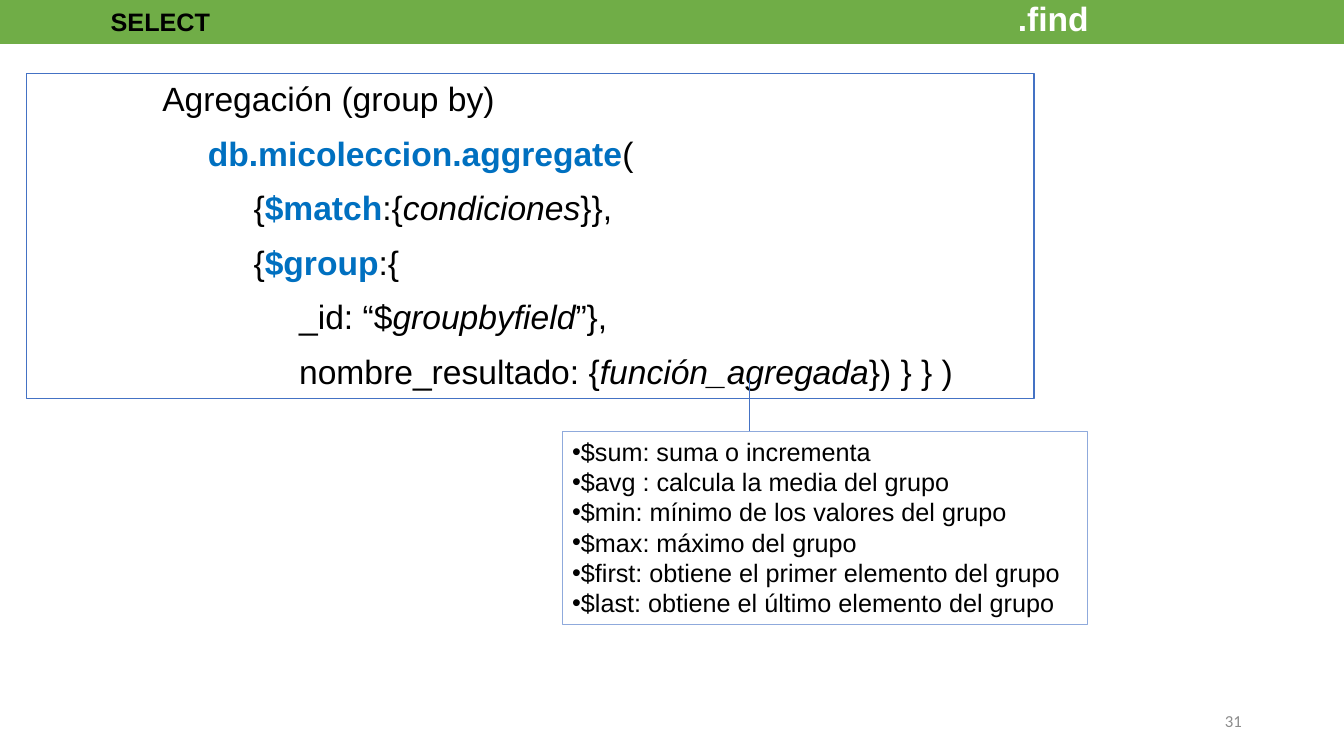
import pptx
import pptx.util
import pptx.dml.color
import pptx.enum.shapes
import pptx.enum.text
import pptx.oxml
import pptx.oxml.ns
from dataclasses import dataclass
from pptx.util import Cm, Pt


@dataclass(frozen=True)
class Theme:
    """Colours, fonts and type sizes of the slide."""
    bar: str = "70AD47"
    frame: str = "4472C4"
    note_frame: str = "8FAADC"
    keyword: str = "0070C0"
    text: str = "000000"
    light: str = "FFFFFF"
    muted: str = "8C8C8C"
    font: str = "Arial"
    number_font: str = "Calibri"
    code_size: int = 24
    body_size: int = 18
    number_size: int = 12


THEME = Theme()
PLAIN, KEYWORD, ITALIC = "plain", "keyword", "italic"
SYNTAX = [
    (0, [("Agregación (group by)", PLAIN)]),
    (1, [("db.micoleccion.aggregate", KEYWORD), ("(", PLAIN)]),
    (2, [("{", PLAIN), ("$match", KEYWORD), (":{", PLAIN),
         ("condiciones", ITALIC), ("}},", PLAIN)]),
    (2, [("{", PLAIN), ("$group", KEYWORD), (":{", PLAIN)]),
    (3, [("_id: “$", PLAIN), ("groupbyfield", ITALIC), ("”},", PLAIN)]),
    (3, [("nombre_resultado: {", PLAIN), ("función_agregada", ITALIC),
         ("}) } } )", PLAIN)]),
]
FUNCTIONS = [
    "$sum: suma o incrementa",
    "$avg : calcula la media del grupo",
    "$min: mínimo de los valores del grupo",
    "$max: máximo del grupo",
    "$first: obtiene el primer elemento del grupo",
    "$last: obtiene el último elemento del grupo",
]


def rgb(value):
    """Turn a hex string into a colour."""
    return pptx.dml.color.RGBColor.from_string(value)


def add_xml(parent, tag, **attributes):
    """Append a DrawingML element and return it."""
    child = pptx.oxml.parse_xml(f"<a:{tag} {pptx.oxml.ns.nsdecls('a')}/>")
    for name, value in attributes.items():
        child.set(name, str(value))
    parent.append(child)
    return child


def add_run(p, text, size, color=THEME.text, bold=False, italic=False, font=THEME.font):
    """Add a formatted run to a paragraph."""
    r = p.add_run()
    r.text = text
    r.font.name, r.font.size = font, Pt(size)
    r.font.bold, r.font.italic = bold, italic
    r.font.color.rgb = rgb(color)


def add_box(s, box, fill=None, line=None):
    """Add a rectangle with top-left text and return its text frame."""
    sp = s.shapes.add_shape(pptx.enum.shapes.MSO_SHAPE.RECTANGLE, *box)
    sp.shadow.inherit = False
    if fill:
        sp.fill.solid()
        sp.fill.fore_color.rgb = rgb(fill)
    else:
        sp.fill.background()
    if line:
        sp.line.color.rgb = rgb(line)
        sp.line.width = Pt(0.75)
    else:
        sp.line.fill.background()
    tf = sp.text_frame
    tf.word_wrap = True
    tf.vertical_anchor = pptx.enum.text.MSO_ANCHOR.TOP
    return tf


def paragraphs(tf, count):
    """Yield the given number of left-aligned paragraphs."""
    for i in range(count):
        p = tf.add_paragraph() if i else tf.paragraphs[0]
        p.alignment = pptx.enum.text.PP_ALIGN.LEFT
        yield p


def header_bar(s, box):
    """Draw the title bar, its two labels set on tab stops."""
    p = next(paragraphs(add_box(s, box, fill=THEME.bar), 1))
    stops = add_xml(p._p.get_or_add_pPr(), "tabLst")
    for position in (Cm(2.54), Cm(25.4)):
        add_xml(stops, "tab", pos=position, algn="l")
    add_run(p, "\tSELECT\t", THEME.body_size, bold=True)
    add_run(p, ".find", THEME.code_size, THEME.light, bold=True)


def syntax_box(s, box):
    """Draw the framed syntax, one indent step per nesting level."""
    tf = add_box(s, box, line=THEME.frame)
    for p, (level, parts) in zip(paragraphs(tf, len(SYNTAX)), SYNTAX):
        p.space_after = Pt(10.1)
        pPr = p._p.get_or_add_pPr()
        pPr.set("marL", str(Cm(3.18) + level * Cm(1.15)))
        pPr.set("indent", "0")
        for text, style in parts:
            keyword = style == KEYWORD
            add_run(p, text, THEME.code_size, THEME.keyword if keyword else THEME.text,
                    bold=keyword, italic=style == ITALIC)


def functions_box(s, box):
    """Draw the bulleted list of functions and the line rising from it."""
    left, top, width, height = box
    tf = add_box(s, box, line=THEME.note_frame)
    for p, text in zip(paragraphs(tf, len(FUNCTIONS)), FUNCTIONS):
        pPr = p._p.get_or_add_pPr()
        add_xml(pPr, "buFont", typeface=THEME.font)
        add_xml(pPr, "buChar", char="•")
        add_run(p, text, THEME.body_size)
    x = left + Cm(4.72)
    line = s.shapes.add_connector(
        pptx.enum.shapes.MSO_CONNECTOR.STRAIGHT, x, top - Cm(1.35), x, top)
    line.line.color.rgb = rgb(THEME.frame)
    line.line.width = Pt(0.5)
    add_xml(line._element.spPr, "effectLst")


def slide_number(s, box, number):
    """Write the slide number at the right of its box."""
    tf = s.shapes.add_textbox(*box).text_frame
    tf.word_wrap = True
    tf.vertical_anchor = pptx.enum.text.MSO_ANCHOR.MIDDLE
    p = tf.paragraphs[0]
    p.alignment = pptx.enum.text.PP_ALIGN.RIGHT
    add_run(p, number, THEME.number_size, THEME.muted, font=THEME.number_font)


def build():
    """Build the slide and save it."""
    prs = pptx.Presentation()
    prs.slide_width, prs.slide_height = Cm(33.87), Cm(19.05)
    s = prs.slides.add_slide(prs.slide_layouts[6])
    syntax_box(s, (Cm(0.66), Cm(1.85), Cm(25.4), Cm(8.2)))
    header_bar(s, (0, Cm(-0.17), prs.slide_width, Cm(1.28)))
    functions_box(s, (Cm(14.17), Cm(10.87), Cm(13.24), Cm(4.88)))
    slide_number(s, (Cm(23.93), Cm(17.65), Cm(7.62), Cm(1.02)), "31")
    prs.save("out.pptx")


build()
